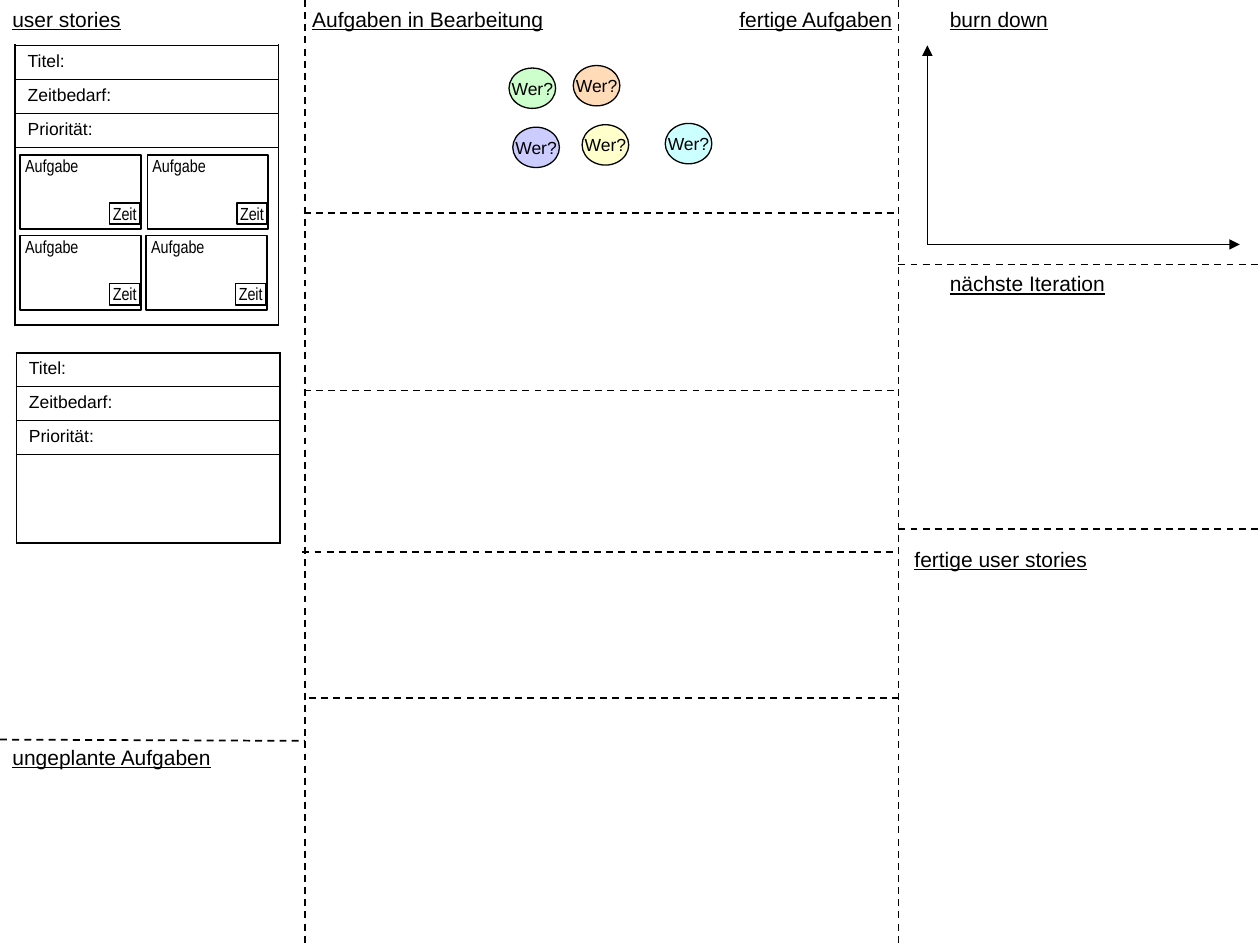
from lxml import etree
from pptx import Presentation
from pptx.dml.color import RGBColor
from pptx.enum.dml import MSO_LINE
from pptx.enum.shapes import MSO_CONNECTOR, MSO_SHAPE
from pptx.enum.text import MSO_ANCHOR, PP_ALIGN
from pptx.oxml.ns import qn
from pptx.util import Inches, Pt

DASH = MSO_LINE.DASH
LEFT, MID, RIGHT = PP_ALIGN.LEFT, PP_ALIGN.CENTER, PP_ALIGN.RIGHT
TOP, CENTER = MSO_ANCHOR.TOP, MSO_ANCHOR.MIDDLE
RECT, OVAL = MSO_SHAPE.RECTANGLE, MSO_SHAPE.OVAL
STRAIGHT = MSO_CONNECTOR.STRAIGHT
WIDE, HIGH = 10, 7.5
COL1, COL2 = 2.42, 7.13
INK = "000000"


def paint(color):
    """Turn a hex string into a colour."""
    return RGBColor.from_string(color)


def put(frame, text, size=10, font="Arial", line=False, align=LEFT,
        pad=(0.1, 0.05), anchor=TOP, wrap=True):
    """Write formatted text into a text frame."""
    frame.word_wrap = wrap
    frame.vertical_anchor = anchor
    frame.margin_left = frame.margin_right = Inches(pad[0])
    frame.margin_top = frame.margin_bottom = Inches(pad[1])
    para = frame.paragraphs[0]
    para.alignment = align
    run = para.add_run()
    run.text = text
    run.font.size = Pt(size)
    run.font.name = font
    run.font.underline = line
    run.font.color.rgb = paint(INK)


def head(slide, text, x, y, w, align=LEFT):
    """Add an underlined region heading."""
    box = slide.shapes.add_textbox(*map(Inches, (x, y, w, 0.3)))
    put(box.text_frame, text, size=12, line=True, align=align)


def rule(slide, x1, y1, x2, y2, width=0.99, dash=DASH, arrow=False):
    """Draw a straight line, dashed or with an arrowhead."""
    line = slide.shapes.add_connector(STRAIGHT, *map(Inches, (x1, y1, x2, y2)))
    line.line.color.rgb = paint(INK)
    line.line.width = Pt(width)
    if dash:
        line.line.dash_style = dash
    if arrow:
        etree.SubElement(line.line._get_or_add_ln(), qn("a:tailEnd"),
                         type="triangle")
    etree.SubElement(line._element.spPr, qn("a:effectLst"))


def block(slide, kind, box, text, fill=None, width=0.99, **form):
    """Add an outlined shape with text."""
    shape = slide.shapes.add_shape(kind, *map(Inches, box))
    shape.shadow.inherit = False
    if fill:
        shape.fill.solid()
        shape.fill.fore_color.rgb = paint(fill)
    else:
        shape.fill.background()
    shape.line.color.rgb = paint(INK)
    shape.line.width = Pt(width)
    put(shape.text_frame, text, **form)


def edge(cell, widths):
    """Set the left, right, top and bottom borders of a cell."""
    props = cell._tc.get_or_add_tcPr()
    for side, width in zip("LRTB", widths):
        ln = etree.SubElement(props, qn("a:ln" + side), w=str(Pt(width)))
        fill = etree.SubElement(ln, qn("a:solidFill"))
        etree.SubElement(fill, qn("a:srgbClr"), val=INK)
    cell.fill.background()


def story(slide, x, y, last):
    """Add a story card whose open row has the height last."""
    rows = [0.27, 0.27, 0.27, last]
    names = ["Titel:", "Zeitbedarf:", "Priorität:", ""]
    table = slide.shapes.add_table(
        4, 1, *map(Inches, (x, y, 2.09, sum(rows)))).table
    table.first_row = table.horz_banding = False
    for i, (high, name) in enumerate(zip(rows, names)):
        table.rows[i].height = Inches(high)
        cell = table.cell(i, 0)
        edge(cell, (1.08, 1.08, 1.08 if i == 0 else 0.45,
                    1.08 if i == 3 else 0.45))
        if name:
            cell.margin_left = cell.margin_right = Inches(0.1)
            cell.margin_top = cell.margin_bottom = Inches(0.05)
            put(cell.text_frame, name)


def task(slide, x, y):
    """Add a task note with its time box in the corner."""
    block(slide, RECT, (x, y, 0.96, 0.59), "Aufgabe", "FFFFFF",
          font="Arial Narrow", pad=(0.04, 0))
    block(slide, RECT, (x + 0.71, y + 0.38, 0.24, 0.17), "Zeit",
          font="Arial Narrow", pad=(0, 0), align=MID)


def stories(slide, x, y):
    """Fill the left column: stories, tasks and unplanned work."""
    head(slide, "user stories", x, y, 1.46)
    story(slide, x + 0.12, y + 0.36, 1.41)
    for dx, dy in ((0.16, 1.23), (0.16, 1.87), (1.17, 1.23), (1.16, 1.87)):
        task(slide, x + dx, y + dy)
    story(slide, x + 0.13, y + 2.8, 0.7)
    rule(slide, x, y + 5.87, x + COL1, y + 5.88)
    head(slide, "ungeplante Aufgaben", x, y + 5.86, 2.29)


def lanes(slide, x, y, w):
    """Fill the middle column: lanes and people."""
    head(slide, "Aufgaben in Bearbeitung", x - 0.04, y, 2.27)
    head(slide, "fertige Aufgaben", x + w - 1.41, y, 1.46, RIGHT)
    for dx, dy in ((-0.01, 1.69), (-0.01, 3.1), (-0.02, 4.38), (0.03, 5.54)):
        rule(slide, x + dx, y + dy, x + dx + w, y + dy)
    people = [(1.62, 0.54, "CCFFCC"), (2.13, 0.52, "FFDBB7"),
              (1.65, 1.01, "CCCCFF"), (2.2, 0.99, "FFFFCC"),
              (2.86, 0.98, "CCFFFF")]
    for dx, dy, fill in people:
        block(slide, OVAL, (x + dx, y + dy, 0.37, 0.32), "Wer?", fill, 0.74,
              align=MID, anchor=CENTER, wrap=False)


def status(slide, x, y, w):
    """Fill the right column: burn down, next iteration, done stories."""
    head(slide, "burn down", x + 0.31, y, 1.46)
    left, base = x + 0.23, y + 1.94
    for tip in ((left, y + 0.36), (x + 2.71, base)):
        rule(slide, left, base, *tip, width=0.74, dash=None, arrow=True)
    for dy in (2.1, 4.2):
        rule(slide, x, y + dy, x + w, y + dy)
    head(slide, "nächste Iteration", x + 0.31, y + 2.1, 1.46)
    head(slide, "fertige user stories", x + 0.03, y + 4.29, 1.7)


def board():
    """Build the task board and save it."""
    deck = Presentation()
    deck.slide_width, deck.slide_height = Inches(WIDE), Inches(HIGH)
    slide = deck.slides.add_slide(deck.slide_layouts[6])
    for x in (COL1, COL2):
        rule(slide, x, 0, x, HIGH)
    stories(slide, 0, 0)
    lanes(slide, COL1, 0, COL2 - COL1)
    status(slide, COL2, 0, WIDE - COL2)
    deck.save("out.pptx")


board()
